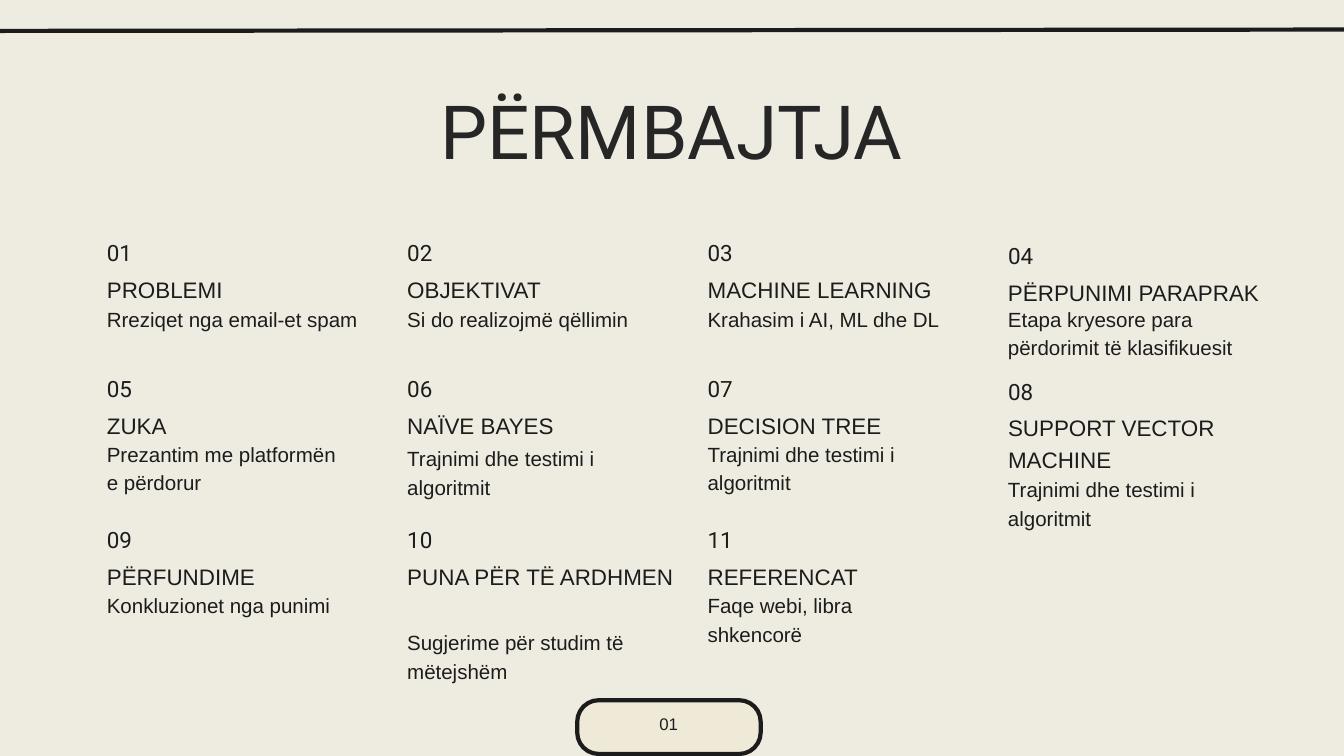
from lxml import etree
from pptx import Presentation
from pptx.dml.color import RGBColor
from pptx.enum import shapes, text
from pptx.oxml.ns import qn
from pptx.util import Inches, Pt

COLORS = {"background": "EEECE1", "title": "262626", "ink": "1C1C1C", "badge": "EFEAD8"}

LEFT, COLUMN_STEP, COLUMNS = 1.59, 4.47, 4
ROW_TOPS = [3.63, 5.65, 7.9]
LAST_COLUMN_DROP = 0.04
HEADING_HEIGHTS = {1: 0.44, 2: 0.92, 3: 1.39}
NOTE_HEIGHTS = {1: 0.4, 2: 0.83}

# Heading, its box width and line count; note, its box width, line count and
# distance below the top of the row
TOPICS = [
    ("PROBLEMI", 3.14, 1, "Rreziqet nga email-et spam", 3.83, 1, 0.87),
    ("OBJEKTIVAT", 3.14, 1, "Si do realizojmë qëllimin", 3.46, 1, 0.87),
    ("MACHINE LEARNING", 4.14, 1, "Krahasim i AI, ML dhe DL", 3.46, 1, 0.87),
    ("PËRPUNIMI PARAPRAK", 4.14, 1,
     "Etapa kryesore para përdorimit të klasifikuesit", 3.46, 2, 0.87),
    ("ZUKA", 3.14, 1, "Prezantim me platformën e përdorur", 3.46, 2, 0.86),
    ("NAÏVE BAYES", 4.61, 2, "Trajnimi dhe testimi i algoritmit", 3.46, 2, 0.93),
    ("DECISION TREE", 3.49, 2, "Trajnimi dhe testimi i algoritmit", 3.46, 2, 0.86),
    ("SUPPORT VECTOR MACHINE", 4.61, 3,
     "Trajnimi dhe testimi i algoritmit", 3.46, 2, 1.39),
    ("PËRFUNDIME", 3.14, 1, "Konkluzionet nga punimi", 3.46, 1, 0.86),
    ("PUNA PËR TË ARDHMEN", 4.11, 2,
     "Sugjerime për studim të mëtejshëm", 3.46, 2, 1.41),
    ("REFERENCAT", 3.82, 1, "Faqe webi, libra shkencorë", 3.46, 2, 0.86),
]


def rgb(name):
    return RGBColor.from_string(COLORS[name])


def add_text(slide, words, left, top, width, height, size, spacing,
             font="Arial", color="ink", align=text.PP_ALIGN.LEFT):
    box = slide.shapes.add_textbox(Inches(left), Inches(top), Inches(width), Inches(height))
    frame = box.text_frame
    frame.word_wrap = True
    frame.auto_size = text.MSO_AUTO_SIZE.SHAPE_TO_FIT_TEXT
    frame.margin_left = frame.margin_right = frame.margin_top = frame.margin_bottom = 0
    paragraph = frame.paragraphs[0]
    paragraph.text = words
    paragraph.alignment = align
    paragraph.line_spacing = Pt(spacing)
    paragraph.font.name = font
    paragraph.font.size = Pt(size)
    paragraph.font.color.rgb = rgb(color)


def style_line(line):
    line.color.rgb = rgb("ink")
    line.width = Pt(4.5)


def add_top_rule(slide):
    rule = slide.shapes.add_connector(
        shapes.MSO_CONNECTOR.STRAIGHT, 0, Inches(0.46), Inches(20), Inches(0.44))
    style_line(rule.line)
    etree.SubElement(rule._element.spPr, qn("a:effectLst"))


def add_topic(slide, index, topic):
    heading, heading_width, heading_lines, note, note_width, note_lines, note_drop = topic
    row, column = divmod(index, COLUMNS)
    left = LEFT + column * COLUMN_STEP
    drop = LAST_COLUMN_DROP if column == COLUMNS - 1 else 0
    top = ROW_TOPS[row]
    add_text(slide, f"{index + 1:02d}", left, top + drop, 0.79, 0.38, 24, 24, font="Roboto")
    add_text(slide, heading, left, top + drop + 0.41, heading_width,
             HEADING_HEIGHTS[heading_lines], 24, 33.6)
    add_text(slide, note, left, top + note_drop, note_width,
             NOTE_HEIGHTS[note_lines], 22, 30.8)


def add_page_badge(slide, number):
    badge = slide.shapes.add_shape(
        shapes.MSO_SHAPE.ROUNDED_RECTANGLE,
        Inches(8.59), Inches(10.42), Inches(2.73), Inches(0.8))
    badge.adjustments[0] = 0.4
    badge.shadow.inherit = False
    badge.fill.solid()
    badge.fill.fore_color.rgb = rgb("badge")
    style_line(badge.line)
    add_text(slide, number, 9.39, 10.65, 1.12, 0.28, 18, 20, align=text.PP_ALIGN.CENTER)


def main():
    deck = Presentation()
    deck.slide_width, deck.slide_height = Inches(20), Inches(11.25)
    slide = deck.slides.add_slide(deck.slide_layouts[6])
    slide.background.fill.solid()
    slide.background.fill.fore_color.rgb = rgb("background")

    # Title
    add_text(slide, "PËRMBAJTJA", 4.63, 1.49, 10.73, 1.18, 80, 80,
             font="Roboto", color="title", align=text.PP_ALIGN.CENTER)

    # Contents grid
    for index, topic in enumerate(TOPICS):
        add_topic(slide, index, topic)

    # Page number and top rule
    add_page_badge(slide, "01")
    add_top_rule(slide)

    deck.save("out.pptx")


if __name__ == "__main__":
    main()
